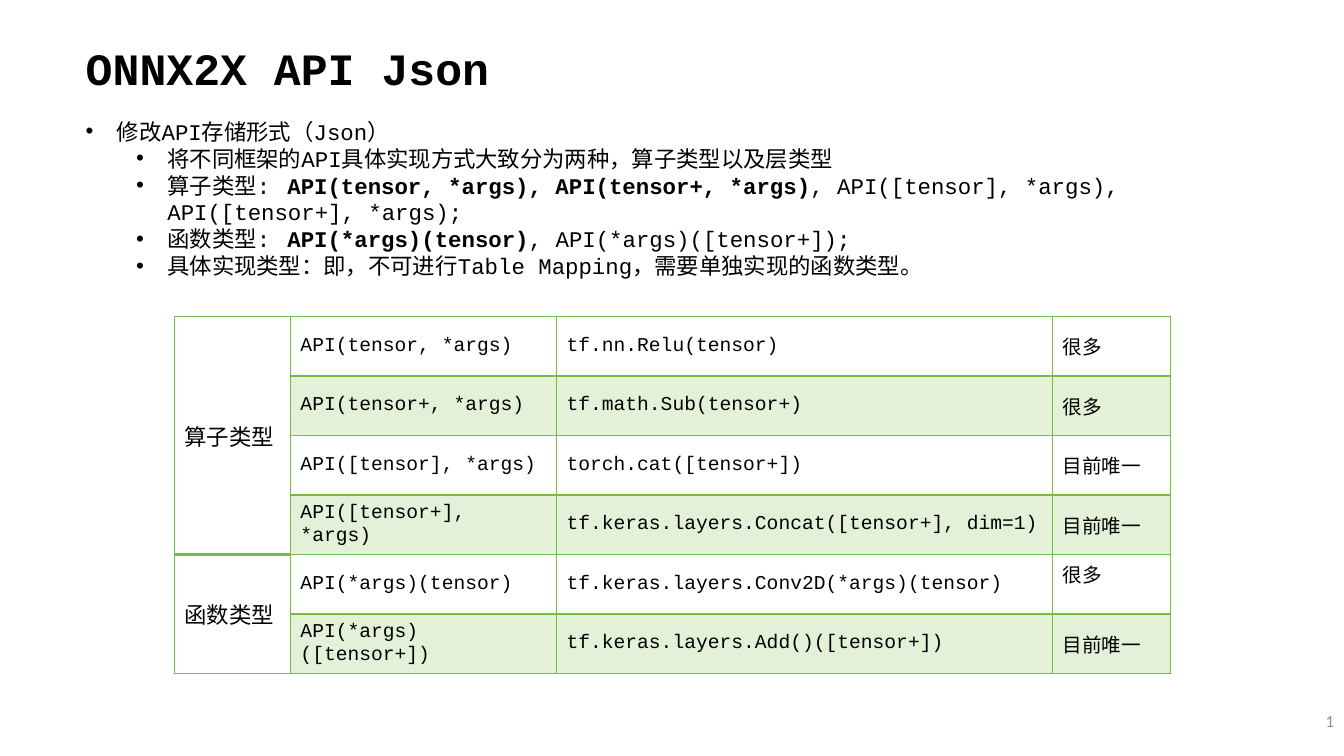
from dataclasses import dataclass

from lxml.etree import SubElement
from pptx import Presentation
from pptx.dml.color import RGBColor
from pptx.enum.text import MSO_ANCHOR as Anchor, MSO_AUTO_SIZE as AutoSize, PP_ALIGN as Align
from pptx.oxml.ns import qn
from pptx.util import Emu, Inches, Pt

SLIDE_WIDTH, SLIDE_HEIGHT = Inches(13.33), Inches(7.5)
GREEN, BLACK, GREY = "75BD42", "000000", "8C8C8C"
CODE_FONT = "Courier New"


@dataclass(frozen=True)
class Area:
    """A rectangle in percent of the slide's width and height."""
    left: float
    top: float
    width: float
    height: float

    def lengths(self) -> tuple[Emu, Emu, Emu, Emu]:
        return across(self.left), down(self.top), across(self.width), down(self.height)


@dataclass(frozen=True)
class Span:
    text: str
    bold: bool = False


@dataclass(frozen=True)
class Bullet:
    spans: tuple[Span, ...]
    level: int = 1


@dataclass(frozen=True)
class ApiRow:
    form: str
    example: str
    frequency: str


@dataclass(frozen=True)
class ApiGroup:
    name: str
    rows: tuple[ApiRow, ...]


TITLE_AREA = Area(5.63, 4.67, 32.93, 8.53)
BODY_AREA = Area(5.63, 14.93, 88.07, 25.2)
PAGE_AREA = Area(77.49, 92.67, 22.51, 5.33)
TABLE_LEFT, TABLE_TOP, ROW_HEIGHT = 12.98, 41.87, 7.87
COLUMN_WIDTHS = (8.63, 19.8, 36.91, 8.78)

BULLETS = (
    Bullet((Span("修改API存储形式（Json）"),), level=0),
    Bullet((Span("将不同框架的API具体实现方式大致分为两种，算子类型以及层类型"),)),
    Bullet((
        Span("算子类型:\t"),
        Span("API(tensor, *args), API(tensor+, *args)", bold=True),
        Span(", API([tensor], *args), API([tensor+], *args);"),
    )),
    Bullet((
        Span("函数类型: \t"),
        Span("API(*args)(tensor)", bold=True),
        Span(", API(*args)([tensor+]);"),
    )),
    Bullet((Span("具体实现类型：即，不可进行Table Mapping，需要单独实现的函数类型。"),)),
)

GROUPS = (
    ApiGroup("算子类型", (
        ApiRow("API(tensor, *args)", "tf.nn.Relu(tensor)", "很多"),
        ApiRow("API(tensor+, *args)", "tf.math.Sub(tensor+)", "很多"),
        ApiRow("API([tensor], *args)", "torch.cat([tensor+])", "目前唯一"),
        ApiRow("API([tensor+], *args)", "tf.keras.layers.Concat([tensor+], dim=1)", "目前唯一"),
    )),
    ApiGroup("函数类型", (
        ApiRow("API(*args)(tensor)", "tf.keras.layers.Conv2D(*args)(tensor)", "很多"),
        ApiRow("API(*args)([tensor+])", "tf.keras.layers.Add()([tensor+])", "目前唯一"),
    )),
)


def across(percent: float) -> Emu:
    return Emu(round(SLIDE_WIDTH * percent / 100))


def down(percent: float) -> Emu:
    return Emu(round(SLIDE_HEIGHT * percent / 100))


def colour(value: str) -> RGBColor:
    return RGBColor.from_string(value)


def apply(target, values: dict) -> None:
    for name, value in values.items():
        setattr(target, name, value)


def add_span(para, text: str, size: int, bold: bool = False,
             font: str = CODE_FONT, ink: str = BLACK) -> None:
    run = para.add_run()
    run.text = text
    apply(run.font, {"size": Pt(size), "bold": bold, "name": font})
    run.font.color.rgb = colour(ink)


def place(box, area: Area) -> None:
    apply(box, dict(zip(("left", "top", "width", "height"), area.lengths())))


def fill_title(box) -> None:
    place(box, TITLE_AREA)
    apply(box.text_frame, {"word_wrap": False, "vertical_anchor": Anchor.TOP,
                           "auto_size": AutoSize.SHAPE_TO_FIT_TEXT})
    para = box.text_frame.paragraphs[0]
    para.alignment = Align.LEFT
    add_span(para, "ONNX2X API Json", 32, bold=True)


def fill_body(box) -> None:
    place(box, BODY_AREA)
    frame = box.text_frame
    apply(frame, {"word_wrap": True, "auto_size": AutoSize.NONE, "vertical_anchor": Anchor.TOP})
    for index, bullet in enumerate(BULLETS):
        para = frame.add_paragraph() if index else frame.paragraphs[0]
        apply(para, {"level": bullet.level, "space_before": Pt(0), "space_after": Pt(0)})
        properties = para._p.get_or_add_pPr()
        for name, inches in {"marL": 0.31 + 0.5 * bullet.level, "indent": -0.31,
                             "defTabSz": 1}.items():
            properties.set(name, str(Inches(inches)))
        SubElement(properties, qn("a:buFont"), typeface="Arial")
        SubElement(properties, qn("a:buChar"), char="•")
        for span in bullet.spans:
            add_span(para, span.text, 16, span.bold)


def format_cell(cell, row: int, tinted: bool) -> None:
    """Draw the borders, the first row's lower one thicker, and fill the cell."""
    properties = cell._tc.get_or_add_tcPr()
    widths = {"lnL": 1, "lnR": 1, "lnT": 2 if row == 1 else 1, "lnB": 2 if row == 0 else 1}
    for side, width in widths.items():
        line = SubElement(properties, qn(f"a:{side}"), w=str(Pt(width)))
        SubElement(SubElement(line, qn("a:solidFill")), qn("a:srgbClr"), val=GREEN)
    if tinted:
        cell.fill.solid()
        cell.fill.fore_color.rgb = colour(GREEN)
        tint = properties.find(qn("a:solidFill")).find(qn("a:srgbClr"))
        SubElement(tint, qn("a:alpha"), val="20000")
    else:
        cell.fill.background()
    cell.vertical_anchor = Anchor.MIDDLE


def add_api_table(page) -> None:
    row_count = sum(len(group.rows) for group in GROUPS)
    area = Area(TABLE_LEFT, TABLE_TOP, sum(COLUMN_WIDTHS), ROW_HEIGHT * row_count)
    table = page.shapes.add_table(row_count, len(COLUMN_WIDTHS), *area.lengths()).table
    apply(table, {"first_row": False, "horz_banding": False})
    for column, width in zip(table.columns, COLUMN_WIDTHS):
        column.width = across(width)
    for row in table.rows:
        row.height = down(ROW_HEIGHT)
    for row in range(row_count):
        for column in range(len(COLUMN_WIDTHS)):
            format_cell(table.cell(row, column), row, tinted=column > 0 and row % 2 == 1)
    first = 0
    for group in GROUPS:
        head = table.cell(first, 0)
        head.merge(table.cell(first + len(group.rows) - 1, 0))
        add_span(head.text_frame.paragraphs[0], group.name, 16)
        for row, entry in enumerate(group.rows, first):
            for column, text in enumerate((entry.form, entry.example, entry.frequency), 1):
                add_span(table.cell(row, column).text_frame.paragraphs[0], text, 14)
        first += len(group.rows)
    # The frequency of the first function form sits above the middle of its row.
    table.cell(len(GROUPS[0].rows), 3).margin_bottom = Inches(0.28)


def add_page_number(page) -> None:
    frame = page.shapes.add_textbox(*PAGE_AREA.lengths()).text_frame
    apply(frame, {"word_wrap": True, "vertical_anchor": Anchor.MIDDLE})
    para = frame.paragraphs[0]
    para.alignment = Align.RIGHT
    add_span(para, "1", 12, font="Calibri", ink=GREY)


def main() -> None:
    deck = Presentation()
    apply(deck, {"slide_width": SLIDE_WIDTH, "slide_height": SLIDE_HEIGHT})
    page = deck.slides.add_slide(deck.slide_layouts[1])
    add_page_number(page)
    fill_title(page.shapes.title)
    fill_body(page.placeholders[1])
    add_api_table(page)
    deck.save("out.pptx")


if __name__ == "__main__":
    main()
